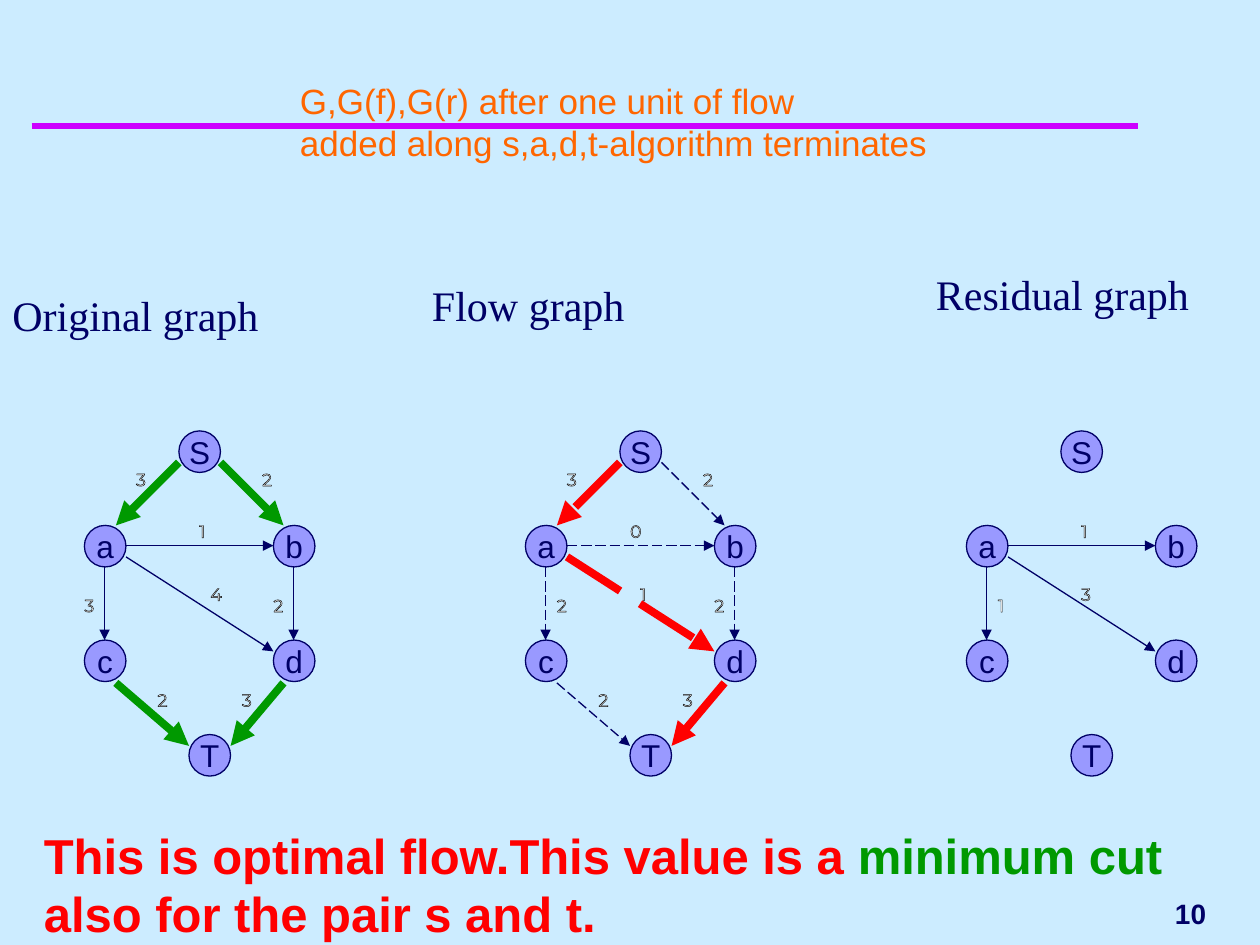
from dataclasses import dataclass
from typing import NamedTuple, Optional

import pptx
import pptx.dml.color
import pptx.enum.dml
import pptx.enum.shapes
import pptx.enum.text
import pptx.oxml
import pptx.oxml.ns
import pptx.util

Inches = pptx.util.Inches
Align = pptx.enum.text.PP_ALIGN
Anchor = pptx.enum.text.MSO_ANCHOR


@dataclass(frozen=True)
class Theme:
    background: str = "CCECFF"
    rule: str = "CC00FF"
    ink: str = "000066"
    node: str = "9999FF"
    title: str = "FF6600"
    green: str = "009900"
    red: str = "FF0000"
    weight: str = "FFFFFF"
    weight_outline: str = "000000"
    sans: str = "Arial"
    serif: str = "Times New Roman"
    weight_font: str = "Montserrat"
    title_size: float = 20
    heading_size: float = 24
    node_size: float = 18
    weight_size: float = 10
    conclusion_size: float = 28
    number_size: float = 16
    thin: float = 0.75
    thick: float = 4.5


class Route(NamedTuple):
    start: tuple[float, float]
    end: tuple[float, float]
    weight_top: float


class Edge(NamedTuple):
    route: str
    weight: str
    weight_left: float
    highlighted: bool = False


class Graph(NamedTuple):
    heading: str
    heading_at: tuple[float, float, float]
    offset: float
    highlight: str
    dashed: bool
    edges: list[Edge]


THEME = Theme()
NODE_DIAMETER = 0.33
NODES = {"S": (1.42, 3.42), "T": (1.5, 5.83), "a": (0.67, 4.17),
         "b": (2.17, 4.17), "c": (0.67, 5.08), "d": (2.17, 5.08)}
ROUTES = {
    "Sa": Route((1.42, 3.67), (0.92, 4.17), 3.67),
    "Sb": Route((1.75, 3.67), (2.25, 4.17), 3.67),
    "ab": Route((1, 4.33), (2.17, 4.33), 4.08),
    "ac": Route((0.83, 4.5), (0.83, 5.08), 4.67),
    "ad": Route((1, 4.42), (2.17, 5.17), 4.58),
    "bd": Route((2.33, 4.5), (2.33, 5.08), 4.67),
    "cT": Route((0.92, 5.42), (1.5, 5.92), 5.42),
    "dT": Route((2.25, 5.42), (1.83, 5.92), 5.42),
}
GRAPHS = [
    Graph("Original graph", (0, 2.25, 2.42), 0, THEME.green, False, [
        Edge("Sa", "3", 1.08, True), Edge("Sb", "2", 2.08, True),
        Edge("ab", "1", 1.58), Edge("ac", "3", 0.67),
        Edge("ad", "4", 1.67), Edge("bd", "2", 2.17),
        Edge("cT", "2", 1.25, True), Edge("dT", "3", 1.92, True)]),
    Graph("Flow graph", (3.33, 2.17, 3.08), 3.5, THEME.red, True, [
        Edge("Sa", "3", 1, True), Edge("Sb", "2", 2.08),
        Edge("ab", "0", 1.5), Edge("ac", "2", 0.92),
        Edge("ad", "1", 1.58, True), Edge("bd", "2", 2.17),
        Edge("cT", "2", 1.25), Edge("dT", "3", 1.92, True)]),
    Graph("Residual graph", (7.33, 2.08, 2.5), 7, THEME.ink, False, [
        Edge("ab", "1", 1.58), Edge("ac", "1", 0.92), Edge("ad", "3", 1.58)]),
]


def rgb(value: str) -> pptx.dml.color.RGBColor:
    return pptx.dml.color.RGBColor.from_string(value)


def add_span(para, text: str, size: float, color: str,
             font: str = THEME.sans, bold: bool = False):
    span = para.add_run()
    span.text = text
    span.font.size = pptx.util.Pt(size)
    span.font.name = font
    span.font.bold = bold
    span.font.color.rgb = rgb(color)
    return span


def add_box(slide, left: float, top: float, width: float, height: float,
            wrap: bool = True, grow: bool = False):
    box = slide.shapes.add_textbox(*map(Inches, (left, top, width, height)))
    box.text_frame.word_wrap = wrap
    sizes = pptx.enum.text.MSO_AUTO_SIZE
    box.text_frame.auto_size = sizes.SHAPE_TO_FIT_TEXT if grow else sizes.NONE
    return box


def add_line(slide, start: tuple[float, float], end: tuple[float, float],
             color: str, width: float, dashed: bool = False, arrow: bool = True):
    line = slide.shapes.add_connector(
        pptx.enum.shapes.MSO_CONNECTOR.STRAIGHT, *map(Inches, (*start, *end)))
    line.line.color.rgb = rgb(color)
    line.line.width = pptx.util.Pt(width)
    if dashed:
        line.line.dash_style = pptx.enum.dml.MSO_LINE.LONG_DASH
    if arrow:
        head = pptx.oxml.ns.qn("a:tailEnd")
        line.line._get_or_add_ln().append(line.element.makeelement(head, {"type": "triangle"}))
    no_effects = line.element.makeelement(pptx.oxml.ns.qn("a:effectLst"), {})
    line.element.spPr.append(no_effects)


def add_node(slide, name: str, left: float, top: float) -> None:
    node = slide.shapes.add_shape(
        pptx.enum.shapes.MSO_SHAPE.OVAL,
        *map(Inches, (left, top, NODE_DIAMETER, NODE_DIAMETER)))
    node.shadow.inherit = False
    node.fill.solid()
    node.fill.fore_color.rgb = rgb(THEME.node)
    node.line.color.rgb = rgb(THEME.ink)
    node.line.width = pptx.util.Pt(THEME.thin)
    frame = node.text_frame
    frame.word_wrap = False
    frame.vertical_anchor = Anchor.MIDDLE
    para = frame.paragraphs[0]
    para.alignment = Align.CENTER
    add_span(para, name, THEME.node_size, THEME.ink)


def add_weight(slide, text: str, left: float, top: float) -> None:
    """Write an edge weight in outlined digits."""
    box = add_box(slide, left, top, 0.09, 0.19, wrap=False)
    span = add_span(box.text_frame.paragraphs[0], text, THEME.weight_size,
                    THEME.weight, THEME.weight_font)
    outline = pptx.oxml.parse_xml(
        f'<a:ln {pptx.oxml.ns.nsdecls("a")} w="{pptx.util.Pt(THEME.thin)}"><a:solidFill>'
        f'<a:srgbClr val="{THEME.weight_outline}"/></a:solidFill></a:ln>')
    span.font._element.insert(0, outline)


def add_paragraph_box(slide, left: float, top: float, width: float, height: float,
                      space_before: Optional[float] = None):
    """Add a growing box and return its first paragraph."""
    para = add_box(slide, left, top, width, height, grow=True).text_frame.paragraphs[0]
    para.space_before = pptx.util.Pt(space_before)
    return para


def add_graph(slide, graph: Graph) -> None:
    left, top, width = graph.heading_at
    para = add_paragraph_box(slide, left, top, width, 0.5, 15)
    add_span(para, graph.heading, THEME.heading_size, THEME.ink, THEME.serif)
    for name, (x, y) in NODES.items():
        add_node(slide, name, x + graph.offset, y)
    for edge in graph.edges:
        (x1, y1), (x2, y2), _ = ROUTES[edge.route]
        add_line(slide, (x1 + graph.offset, y1), (x2 + graph.offset, y2),
                 graph.highlight if edge.highlighted else THEME.ink,
                 THEME.thick if edge.highlighted else THEME.thin, graph.dashed)
    for edge in graph.edges:
        add_weight(slide, edge.weight, edge.weight_left + graph.offset,
                   ROUTES[edge.route].weight_top)


def add_title(slide, lines: list[str]) -> None:
    title = slide.shapes.title
    title.left, title.top, title.width, title.height = map(Inches, (0, 0.58, 9.75, 1))
    frame = title.text_frame
    frame.word_wrap = True
    frame.auto_size = pptx.enum.text.MSO_AUTO_SIZE.NONE
    frame.vertical_anchor = Anchor.TOP
    frame.margin_left = Inches(2.38)
    for index, line in enumerate(lines):
        para = frame.add_paragraph() if index else frame.paragraphs[0]
        para.alignment = Align.LEFT
        add_span(para, line, THEME.title_size, THEME.title)
    slide.shapes.element.append(title.element)  # in front of the rule


def main() -> None:
    deck = pptx.Presentation()
    deck.slide_width, deck.slide_height = Inches(10), Inches(7.5)
    page = deck.slides.add_slide(deck.slide_layouts[5])
    page.background.fill.solid()
    page.background.fill.fore_color.rgb = rgb(THEME.background)

    add_line(page, (0.25, 1), (9.03, 1), THEME.rule, 4, arrow=False)
    add_title(page, ["G,G(f),G(r) after one unit of flow",
                     "added along s,a,d,t-algorithm terminates"])
    for graph in GRAPHS:
        add_graph(page, graph)

    para = add_paragraph_box(page, 0.25, 6.5, 9.25, 1.04, 17.5)
    for text, color in (("This is optimal flow.This value is a ", THEME.red),
                        ("minimum cut", THEME.green),
                        (" also for the pair s and t.", THEME.red)):
        add_span(para, text, THEME.conclusion_size, color, bold=True)

    number = add_box(page, 7.75, 7, 1.92, 0.5).text_frame
    number.vertical_anchor = Anchor.MIDDLE
    number.paragraphs[0].alignment = Align.RIGHT
    add_span(number.paragraphs[0], "10", THEME.number_size, THEME.ink, bold=True)
    deck.save("out.pptx")


if __name__ == "__main__":
    main()
